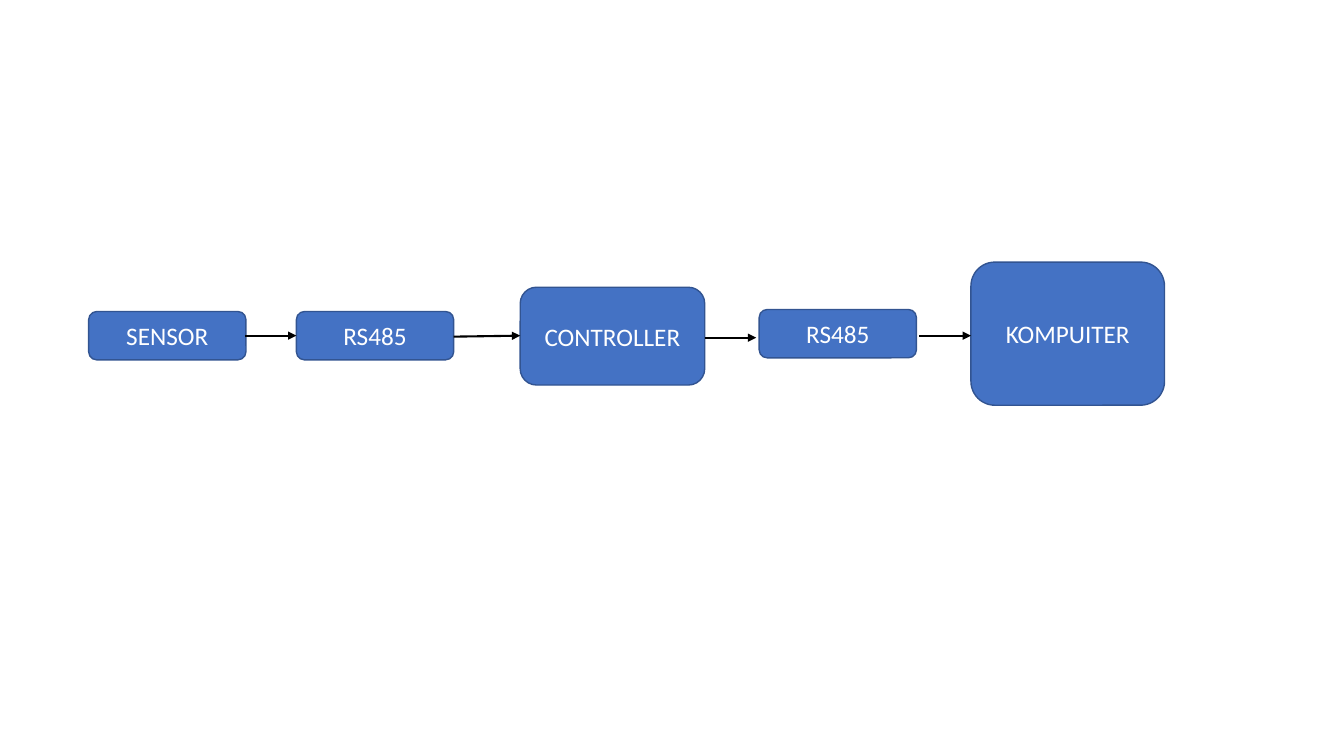
from dataclasses import dataclass

from lxml import etree
from pptx import Presentation
from pptx import util as u
from pptx.dml.color import RGBColor
from pptx.enum import shapes, text
from pptx.oxml import ns
from pptx.slide import Slide

BLUE = RGBColor(0x44, 0x72, 0xC4)
DARK_BLUE = RGBColor(0x32, 0x54, 0x91)
WHITE = RGBColor(0xFF, 0xFF, 0xFF)
BLACK = RGBColor(0, 0, 0)


@dataclass
class Block:
    label: str
    left: float
    top: float
    width: float = 1.56
    height: float = 0.48


@dataclass
class Arrow:
    start_x: float
    start_y: float
    end_x: float
    end_y: float


BLOCKS = [
    Block("SENSOR", 0.88, 3.09),
    Block("RS485", 2.94, 3.09),
    Block("CONTROLLER", 5.16, 2.85, 1.83, 0.97),
    Block("RS485", 7.53, 3.07),
    Block("KOMPUITER", 9.63, 2.6, 1.92, 1.42),
]
ARROWS = [
    Arrow(2.43, 3.33, 2.94, 3.33),
    Arrow(4.5, 3.34, 5.16, 3.33),
    Arrow(6.99, 3.35, 7.5, 3.35),
    Arrow(9.12, 3.33, 9.63, 3.33),
]


def add_block(page: Slide, block: Block) -> None:
    box = page.shapes.add_shape(
        shapes.MSO_SHAPE.ROUNDED_RECTANGLE,
        u.Inches(block.left), u.Inches(block.top),
        u.Inches(block.width), u.Inches(block.height),
    )
    box.shadow.inherit = False
    box.fill.solid()
    box.fill.fore_color.rgb = BLUE
    box.line.color.rgb = DARK_BLUE
    box.line.width = u.Pt(1)
    frame = box.text_frame
    frame.text = block.label
    frame.word_wrap = True
    frame.vertical_anchor = text.MSO_ANCHOR.MIDDLE
    para = frame.paragraphs[0]
    para.alignment = text.PP_ALIGN.CENTER
    for span in para.runs:
        span.font.name = "Calibri"
        span.font.size = u.Pt(18)
        span.font.color.rgb = WHITE


def add_arrow(page: Slide, arrow: Arrow) -> None:
    connector = page.shapes.add_connector(
        shapes.MSO_CONNECTOR.STRAIGHT,
        u.Inches(arrow.start_x), u.Inches(arrow.start_y),
        u.Inches(arrow.end_x), u.Inches(arrow.end_y),
    )
    connector.line.color.rgb = BLACK
    connector.line.width = u.Pt(1.5)
    properties = connector._element.spPr
    outline = properties.find(ns.qn("a:ln"))
    etree.SubElement(outline, ns.qn("a:tailEnd"), type="triangle")
    etree.SubElement(properties, ns.qn("a:effectLst"))


def main() -> None:
    deck = Presentation()
    deck.slide_width = u.Inches(13.33)
    deck.slide_height = u.Inches(7.5)
    blank_layout = deck.slide_layouts[6]
    page = deck.slides.add_slide(blank_layout)
    for block in BLOCKS:
        add_block(page, block)
    for arrow in ARROWS:
        add_arrow(page, arrow)
    deck.save("out.pptx")


if __name__ == "__main__":
    main()
